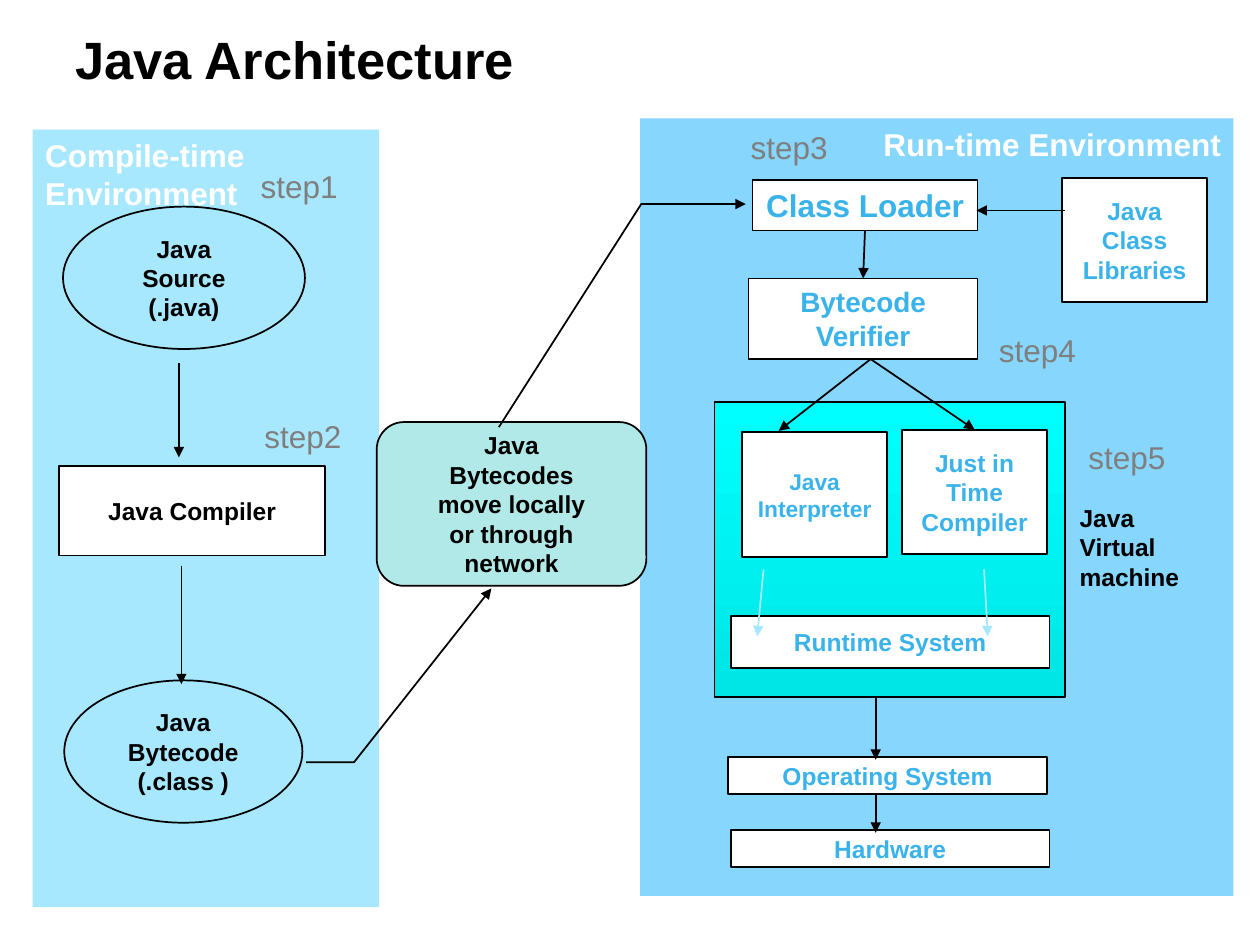
from lxml import etree
from pptx import Presentation
from pptx.dml.color import RGBColor
from pptx.enum.shapes import MSO_CONNECTOR, MSO_SHAPE
from pptx.enum.text import MSO_ANCHOR, PP_ALIGN
from pptx.oxml.ns import qn
from pptx.util import Inches, Pt

RECTANGLE, OVAL = MSO_SHAPE.RECTANGLE, MSO_SHAPE.OVAL
ROUNDED = MSO_SHAPE.FLOWCHART_ALTERNATE_PROCESS
STRAIGHT = MSO_CONNECTOR.STRAIGHT
TOP, MIDDLE = MSO_ANCHOR.TOP, MSO_ANCHOR.MIDDLE
LEFT, CENTER, RIGHT = PP_ALIGN.LEFT, PP_ALIGN.CENTER, PP_ALIGN.RIGHT
TOP_SITE, BOTTOM_SITE = 0, 2

COLORS = {
    "black": "000000", "white": "FFFFFF", "gray": "7F7F7F",
    "runtime": "86D6FE", "compile": "A7E8FF", "network": "B1E9E8",
    "label": "39B3E9", "machine_top": "00FFFF", "machine_bottom": "00E5E5",
}

# name, outline, (left, top, width, height), fill, line width, lines, text format
SHAPES = [
    ("runtime", RECTANGLE, (5.08, 0.94, 4.71, 6.17), "runtime", 0,
     ["Run-time Environment"], dict(size=18, color="white", align=RIGHT, anchor=TOP)),
    ("compile", RECTANGLE, (0.26, 1.03, 2.75, 6.17), "compile", 0,
     ["Compile-time Environment"], dict(size=18, color="white", align=LEFT, anchor=TOP)),
    ("network", ROUNDED, (2.99, 3.35, 2.14, 1.3), "network", 1,
     ["Java", "Bytecodes", "move locally", "or through", "network"],
     dict(color="black", wrap=False)),
    ("source", OVAL, (0.5, 1.64, 1.92, 1.13), None, 1,
     ["Java", "Source", "(.java)"], dict(color="black")),
    ("compiler", RECTANGLE, (0.47, 3.7, 2.11, 0.71), "white", 1,
     ["Java Compiler"], dict(color="black")),
    ("bytecode", OVAL, (0.51, 5.4, 1.89, 1.13), None, 1,
     ["Java", "Bytecode", "(.class )"], dict(color="black")),
    ("machine", RECTANGLE, (5.67, 3.19, 2.78, 2.34), "machine", 1, [], {}),
    ("interpreter", RECTANGLE, (5.89, 3.43, 1.15, 0.99), "white", 1,
     ["Java", "Interpreter"], dict(size=13)),
    ("jit", RECTANGLE, (7.16, 3.41, 1.15, 0.99), "white", 1,
     ["Just in Time", "Compiler"], {}),
    ("runtime system", RECTANGLE, (5.8, 4.89, 2.53, 0.41), "white", 1,
     ["Runtime System"], dict(wrap=False)),
    ("libraries", RECTANGLE, (8.43, 1.41, 1.15, 0.99), "white", 1,
     ["Java Class", "Libraries"], {}),
    ("operating system", RECTANGLE, (5.78, 6.01, 2.53, 0.29), "white", 1,
     ["Operating System"], dict(wrap=False)),
    ("hardware", RECTANGLE, (5.8, 6.59, 2.53, 0.29), "white", 1,
     ["Hardware"], dict(wrap=False)),
    ("loader", RECTANGLE, (5.97, 1.43, 1.79, 0.4), "white", 0.75,
     ["Class Loader"], dict(size=18, anchor=TOP)),
    ("verifier", RECTANGLE, (5.94, 2.21, 1.82, 0.64), "white", 0.75,
     ["Bytecode Verifier"], dict(size=16, anchor=TOP)),
]

STEPS = [("step1", 1.97, 1.28), ("step2", 2, 3.26), ("step3", 5.86, 0.97),
         ("step4", 7.83, 2.58), ("step5", 8.54, 3.43)]

# start, end, color; an end is a point or (shape name, connection site)
ARROWS = [
    ((1.42, 2.88), (1.42, 3.63), "black"),
    ((1.44, 4.49), (1.44, 5.43), "black"),
    ((8.45, 1.67), (7.75, 1.67), "black"),
    (("loader", BOTTOM_SITE), ("verifier", TOP_SITE), "black"),
    ((6.91, 2.85), (6.18, 3.42), "black"),
    ((6.91, 2.85), ("jit", TOP_SITE), "black"),
    ((6.06, 4.52), (6.01, 5.05), "compile"),
    ((7.81, 4.52), (7.84, 5.05), "compile"),
    ((6.95, 5.54), (6.95, 6.03), "black"),
    ((6.95, 6.3), (6.95, 6.61), "black"),
]

BENT_ARROWS = [
    [(2.43, 6.05), (2.81, 6.05), (3.9, 4.67)],
    [(3.96, 3.39), (5.09, 1.62), (5.92, 1.62)],
]


def rgb(name):
    return RGBColor.from_string(COLORS[name])


def write_text(shape, lines, size=14, color="label", bold=True, align=CENTER,
               anchor=MIDDLE, wrap=True):
    frame = shape.text_frame
    frame.word_wrap = wrap
    frame.vertical_anchor = anchor
    for index, line in enumerate(lines):
        paragraph = frame.paragraphs[0] if index == 0 else frame.add_paragraph()
        paragraph.text = line
        paragraph.alignment = align
        font = paragraph.font
        font.name, font.size, font.bold = "Arial", Pt(size), bold
        font.color.rgb = rgb(color)


def add_text_box(slide, box, lines, **text_format):
    shape = slide.shapes.add_textbox(*map(Inches, box))
    write_text(shape, lines, align=LEFT, **text_format)


def paint(shape, fill, line_width):
    """Set fill and outline; the machine fill is a vertical gradient."""
    shape.shadow.inherit = False
    if fill == "machine":
        shape.fill.gradient()
        shape.fill.gradient_angle = 270
        stops = shape.fill.gradient_stops
        for stop, position, name in zip(stops, (0, 1), ("machine_top", "machine_bottom")):
            stop.position = position
            stop.color.rgb = rgb(name)
    elif fill:
        shape.fill.solid()
        shape.fill.fore_color.rgb = rgb(fill)
    else:
        shape.fill.background()
    if line_width:
        shape.line.width = Pt(line_width)
        shape.line.color.rgb = rgb("black")
    else:
        shape.line.fill.background()


def add_arrowhead(shape):
    line = shape.line._get_or_add_ln()
    etree.SubElement(line, qn("a:tailEnd"), type="triangle")


def add_arrow(slide, start, end, color, named_shapes):
    glued = [isinstance(place[0], str) for place in (start, end)]
    points = [(0, 0) if is_glued else place
              for place, is_glued in zip((start, end), glued)]
    connector = slide.shapes.add_connector(
        STRAIGHT, *(Inches(value) for point in points for value in point))
    connectors = (connector.begin_connect, connector.end_connect)
    for place, is_glued, connect in zip((start, end), glued, connectors):
        if is_glued:
            connect(named_shapes[place[0]], place[1])
    connector.line.width = Pt(1)
    connector.line.color.rgb = rgb(color)
    add_arrowhead(connector)
    etree.SubElement(connector._element.spPr, qn("a:effectLst"))


def add_bent_arrow(slide, points):
    corners = [(Inches(x), Inches(y)) for x, y in points]
    builder = slide.shapes.build_freeform(*corners[0])
    builder.add_line_segments(corners[1:], close=False)
    shape = builder.convert_to_shape()
    paint(shape, None, 1)
    add_arrowhead(shape)


def main():
    presentation = Presentation()
    presentation.slide_width, presentation.slide_height = Inches(10), Inches(7.5)
    slide = presentation.slides.add_slide(presentation.slide_layouts[6])

    add_text_box(slide, (0.5, 0.16, 9, 0.61), ["Java Architecture"], size=30, color="black")
    named_shapes = {}
    for name, outline, box, fill, line_width, lines, text_format in SHAPES:
        shape = slide.shapes.add_shape(outline, *map(Inches, box))
        paint(shape, fill, line_width)
        write_text(shape, lines, **text_format)
        named_shapes[name] = shape
    add_text_box(slide, (8.47, 3.94, 1.16, 0.8), ["Java", "Virtual", "machine"], color="black")
    for start, end, color in ARROWS:
        add_arrow(slide, start, end, color, named_shapes)
    for points in BENT_ARROWS:
        add_bent_arrow(slide, points)
    for step, left, top in STEPS:
        add_text_box(slide, (left, top, 0.81, 0.4), [step], size=18, color="gray",
                     bold=False, anchor=TOP, wrap=False)
    presentation.save("out.pptx")


if __name__ == "__main__":
    main()
